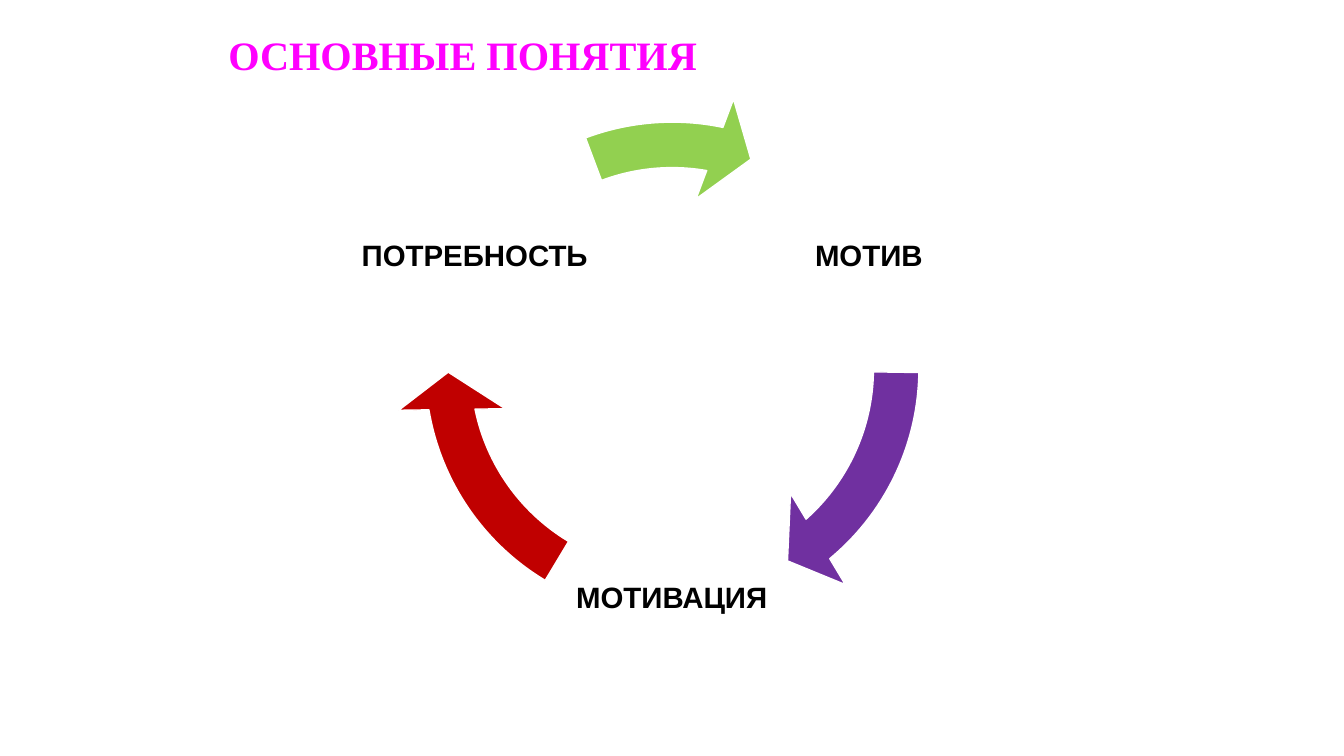
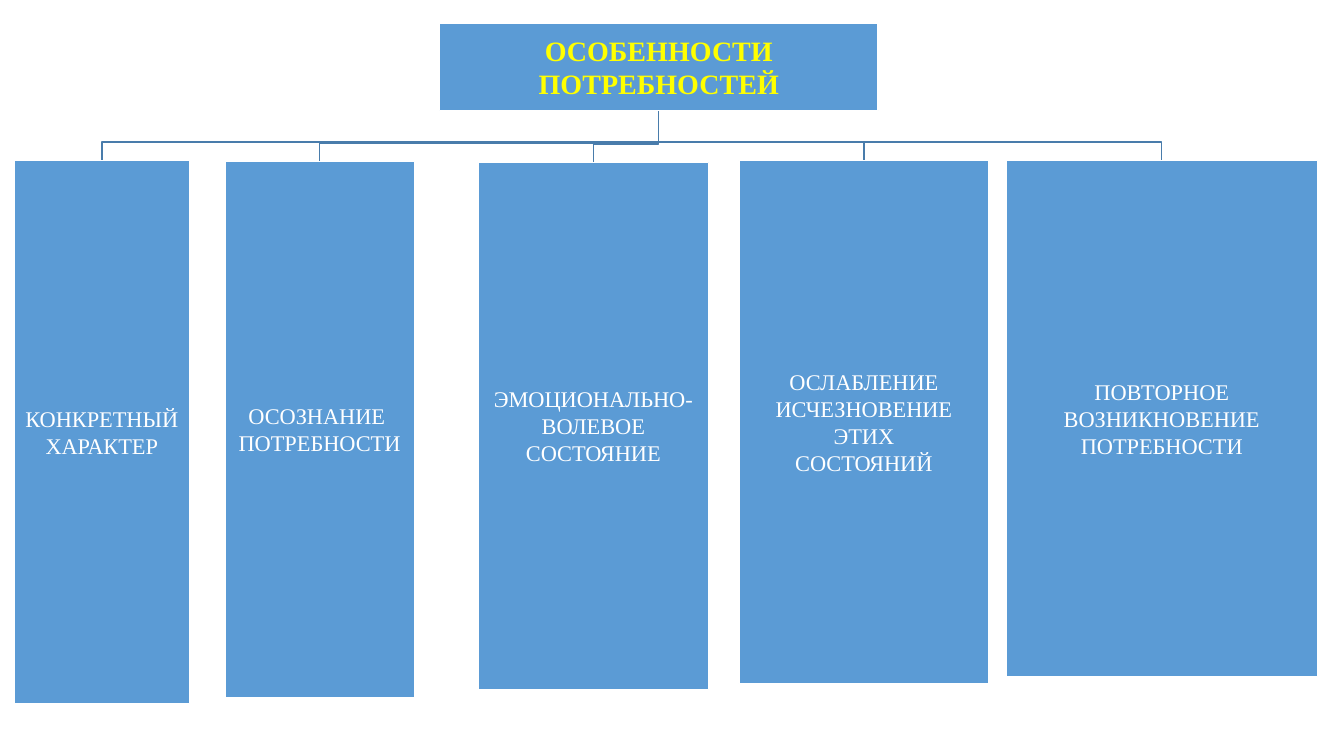
"""Build two slides on needs, motives and motivation."""
from typing import NamedTuple

from pptx import Presentation
from pptx.dml.color import RGBColor
from pptx.enum.shapes import MSO_SHAPE as Preset
from pptx.enum.text import MSO_ANCHOR as Anchor, PP_ALIGN as Align
from pptx.shapes.autoshape import Shape
from pptx.slide import Slide
from pptx.util import Pt

WHITE = RGBColor(0xFF, 0xFF, 0xFF)
BLACK = RGBColor(0x00, 0x00, 0x00)
MAGENTA = RGBColor(0xFF, 0x00, 0xFF)
YELLOW = RGBColor(0xFF, 0xFF, 0x00)
PURPLE = RGBColor(0x70, 0x30, 0xA0)
RED = RGBColor(0xC0, 0x00, 0x00)
GREEN = RGBColor(0x92, 0xD0, 0x50)
BLUE = RGBColor(0x5B, 0x9B, 0xD5)
BRANCH_BLUE = RGBColor(0x49, 0x7C, 0xAB)

SERIF = "Times New Roman"
SANS = "Arial"
BRANCH_DROP = 13


class Box(NamedTuple):
    left: float
    top: float
    width: float
    height: float

    @property
    def center(self) -> float:
        return self.left + self.width / 2

    @property
    def bottom(self) -> float:
        return self.top + self.height

    def lengths(self) -> list[Pt]:
        return [Pt(value) for value in self]


class TextStyle(NamedTuple):
    font: str
    size: float
    color: RGBColor
    bold: bool = False
    align: Align = Align.CENTER
    inset: tuple[float, float] = (1, 1)
    spacing: float = 1.0


class Stage(NamedTuple):
    label: str
    left: float
    top: float
    arrow_color: RGBColor
    arrow_end: float
    arrow_start: float


class Card(NamedTuple):
    box: Box
    lines: tuple[str, ...]


TITLE = TextStyle(SERIF, 28.8, MAGENTA, True, Align.LEFT, (7.2, 3.6), 0.9)
STAGE_LABEL = TextStyle(SANS, 21, BLACK, True, inset=(2, 2))
ROOT_TEXT = TextStyle(SERIF, 20, YELLOW, True)
CARD_TEXT = TextStyle(SERIF, 16, WHITE)

STAGE_SIZE = 167
CYCLE = Box(282.2, 65.5, 396, 396)
STAGES = (
    Stage("МОТИВ", 537.1, 98.6, PURPLE, 29.65, 0.51),
    Stage("МОТИВАЦИЯ", 396.3, 342.7, RED, 101.73, 72.59),
    Stage("ПОТРЕБНОСТЬ", 255.6, 98.6, GREEN, 168.58, 149.66),
)

ROOT = Card(Box(314, 16.5, 313.2, 62.7), ("ОСОБЕННОСТИ", "ПОТРЕБНОСТЕЙ"))
FEATURES = (
    Card(Box(10.1, 114.5, 125.3, 388.1), ("КОНКРЕТНЫЙ", "ХАРАКТЕР")),
    Card(Box(160.6, 115.2, 135.4, 383), ("ОСОЗНАНИЕ ", "ПОТРЕБНОСТИ")),
    Card(Box(341.4, 115.9, 164.9, 376.6), ("ЭМОЦИОНАЛЬНО-ВОЛЕВОЕ", "СОСТОЯНИЕ")),
    Card(Box(527.8, 114.5, 178.6, 373.7),
         ("ОСЛАБЛЕНИЕ", "ИСЧЕЗНОВЕНИЕ", "ЭТИХ", "СОСТОЯНИЙ")),
    Card(Box(718.6, 114.5, 222.5, 368.6),
         ("ПОВТОРНОЕ", "ВОЗНИКНОВЕНИЕ", "ПОТРЕБНОСТИ")),
)


def write(shape: Shape, lines: tuple[str, ...], style: TextStyle) -> None:
    frame = shape.text_frame
    frame.word_wrap = True
    frame.vertical_anchor = Anchor.MIDDLE
    frame.margin_left = frame.margin_right = Pt(style.inset[0])
    frame.margin_top = frame.margin_bottom = Pt(style.inset[1])
    for index, line in enumerate(lines):
        paragraph = frame.add_paragraph() if index else frame.paragraphs[0]
        paragraph.alignment = style.align
        paragraph.line_spacing = style.spacing
        run = paragraph.add_run()
        run.text = line
        run.font.name = style.font
        run.font.size = Pt(style.size)
        run.font.bold = style.bold
        run.font.color.rgb = style.color


def add_text(slide: Slide, box: Box, text: str, style: TextStyle) -> None:
    write(slide.shapes.add_textbox(*box.lengths()), (text,), style)


def outline(shape: Shape, color: RGBColor) -> None:
    shape.shadow.inherit = False
    shape.line.color.rgb = color
    shape.line.width = Pt(1)


def add_filled(slide: Slide, preset: Preset, box: Box, color: RGBColor) -> Shape:
    shape = slide.shapes.add_shape(preset, *box.lengths())
    shape.fill.solid()
    shape.fill.fore_color.rgb = color
    outline(shape, WHITE)
    return shape


def add_stage(slide: Slide, stage: Stage) -> None:
    label_box = Box(stage.left, stage.top, STAGE_SIZE, STAGE_SIZE)
    add_text(slide, label_box, stage.label, STAGE_LABEL)
    arrow = add_filled(slide, Preset.CIRCULAR_ARROW, CYCLE, stage.arrow_color)
    angles = (0.082, 5.76, stage.arrow_end, stage.arrow_start, 0.096)
    for index, value in enumerate(angles):
        arrow.adjustments[index] = value


def add_card(slide: Slide, card: Card, style: TextStyle) -> None:
    write(add_filled(slide, Preset.RECTANGLE, card.box, BLUE), card.lines, style)


def add_branch(slide: Slide, parent: Box, child: Box) -> None:
    bend = child.top - BRANCH_DROP
    corners = ((parent.center, bend), (child.center, bend), (child.center, child.top))
    builder = slide.shapes.build_freeform(Pt(parent.center), Pt(parent.bottom))
    builder.add_line_segments([(Pt(x), Pt(y)) for x, y in corners], close=False)
    branch = builder.convert_to_shape()
    branch.fill.background()
    outline(branch, BRANCH_BLUE)


def build_cycle(slide: Slide) -> None:
    add_text(slide, Box(156, 21.6, 648, 38.2), "ОСНОВНЫЕ ПОНЯТИЯ", TITLE)
    for stage in STAGES:
        add_stage(slide, stage)


def build_features(slide: Slide) -> None:
    for feature in reversed(FEATURES):
        add_branch(slide, ROOT.box, feature.box)
    add_card(slide, ROOT, ROOT_TEXT)
    for feature in FEATURES:
        add_card(slide, feature, CARD_TEXT)


def main() -> None:
    deck = Presentation()
    deck.slide_width, deck.slide_height = Pt(960), Pt(540)
    blank = deck.slide_layouts[6]
    for build in (build_cycle, build_features):
        build(deck.slides.add_slide(blank))
    deck.save("out.pptx")


if __name__ == "__main__":
    main()
